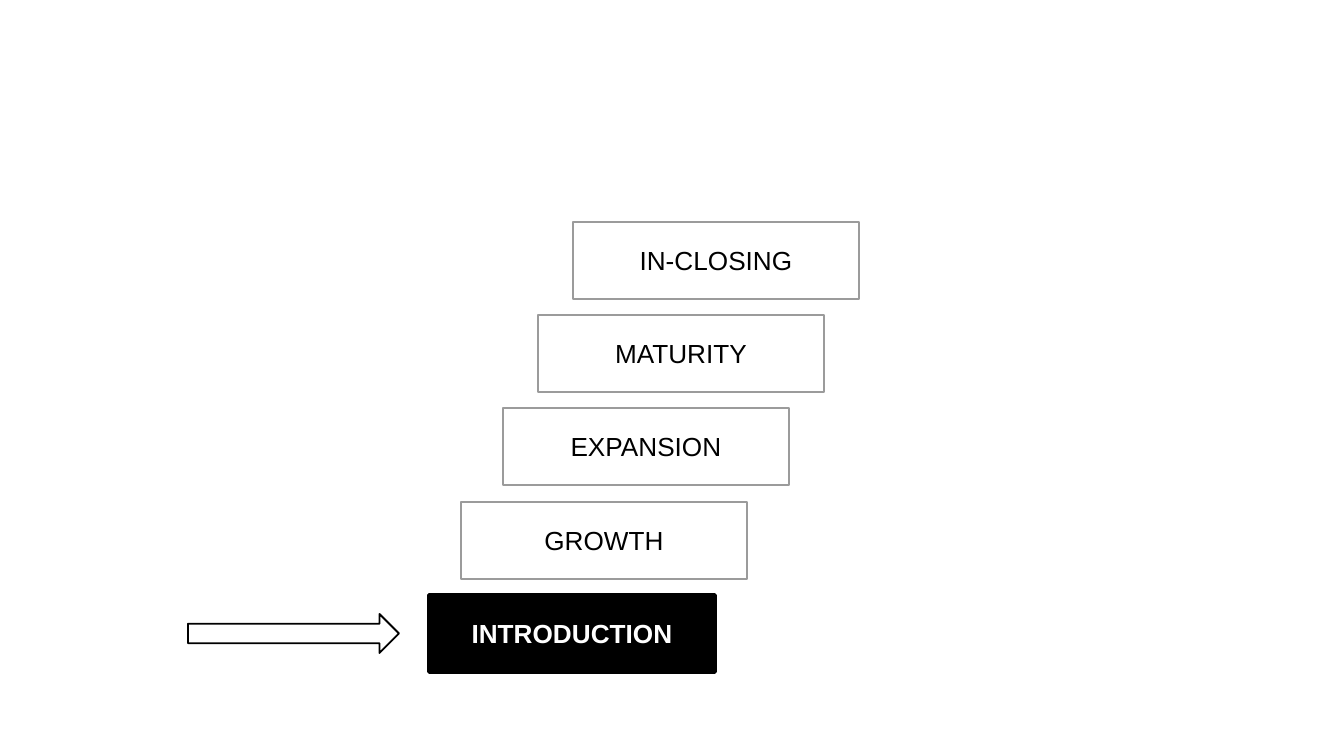
from pptx import Presentation
from pptx.dml.color import RGBColor
from pptx.enum.shapes import MSO_SHAPE
from pptx.enum.text import MSO_ANCHOR, PP_ALIGN
from pptx.util import Inches, Pt

RECTANGLE = MSO_SHAPE.RECTANGLE
RIGHT_ARROW = MSO_SHAPE.RIGHT_ARROW
MIDDLE = MSO_ANCHOR.MIDDLE
CENTER = PP_ALIGN.CENTER

SLIDE_WIDTH, SLIDE_HEIGHT = 1344, 756
SCALE = Inches(10) / SLIDE_WIDTH
BLACK, WHITE, GRAY = "000000", "FFFFFF", "9B9B9B"

STEP_WIDTH, STEP_HEIGHT = 286, 77
FIRST_TOP, LAST_TOP = 595, 222
STEPS = [
    ("INTRODUCTION", 429),
    ("GROWTH", 461),
    ("EXPANSION", 503),
    ("MATURITY", 538),
    ("IN-CLOSING", 573),
]


def emu(px):
    return round(px * SCALE)


def color(hex_string):
    return RGBColor.from_string(hex_string)


class StepsSlide:
    """Draws staircase elements on one slide in a shared style."""

    font_name = "Arial"
    font_size = Pt(14)

    def __init__(self, slide):
        self.slide = slide

    def outline(self, preset, box, fill, line, weight):
        shape = self.slide.shapes.add_shape(preset, *map(emu, box))
        shape.shadow.inherit = False
        shape.fill.solid()
        shape.fill.fore_color.rgb = color(fill)
        shape.line.color.rgb = color(line)
        shape.line.width = Pt(weight)
        return shape

    def step(self, label, left, top, current):
        box = (left, top, STEP_WIDTH, STEP_HEIGHT)
        if current:
            step = self.outline(RECTANGLE, box, BLACK, BLACK, 2)
        else:
            step = self.outline(RECTANGLE, box, WHITE, GRAY, 1)
        frame = step.text_frame
        frame.word_wrap = True
        frame.vertical_anchor = MIDDLE
        paragraph = frame.paragraphs[0]
        paragraph.alignment = CENTER
        run = paragraph.add_run()
        run.text = label
        run.font.name = self.font_name
        run.font.size = self.font_size
        run.font.bold = current
        run.font.color.rgb = color(WHITE if current else BLACK)

    def arrow(self, left, top, width, height):
        self.outline(RIGHT_ARROW, (left, top, width, height), WHITE, BLACK, 1)


def main():
    presentation = Presentation()
    presentation.slide_width = emu(SLIDE_WIDTH)
    presentation.slide_height = emu(SLIDE_HEIGHT)
    staircase = StepsSlide(presentation.slides.add_slide(presentation.slide_layouts[6]))

    rise = (FIRST_TOP - LAST_TOP) / (len(STEPS) - 1)
    for index, (label, left) in enumerate(STEPS):
        staircase.step(label, left, round(FIRST_TOP - index * rise), index == 0)
    staircase.arrow(188, 614, 211, 39)

    presentation.save("out.pptx")


if __name__ == "__main__":
    main()
